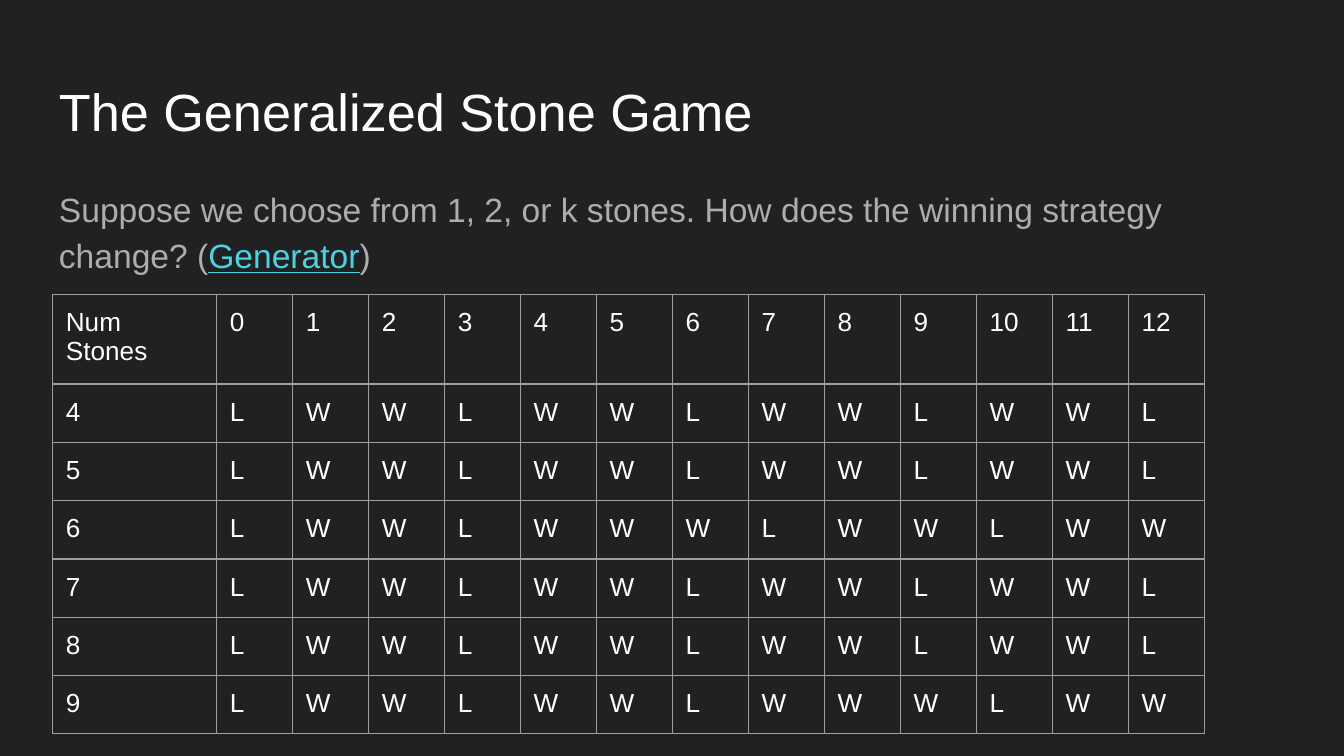
from pptx import Presentation
from pptx.dml.color import RGBColor
from pptx.oxml import parse_xml
from pptx.oxml.ns import nsdecls
from pptx.util import Inches, Pt

BACKGROUND = RGBColor(0x21, 0x21, 0x21)
WHITE = RGBColor(0xFF, 0xFF, 0xFF)
GRAY = RGBColor(0xAD, 0xAD, 0xAD)
CYAN = RGBColor(0x4D, 0xD0, 0xE1)
BORDER = RGBColor(0x9E, 0x9E, 0x9E)

TITLE = [("The Generalized Stone Game", {"color": WHITE, "size": 28})]
QUESTION = [
    ("Suppose we choose from 1, 2, or k stones. "
     "How does the winning strategy change? (", {"color": GRAY, "size": 18}),
    ("Generator", {"color": CYAN, "size": 18, "underline": True}),
    (")", {"color": GRAY, "size": 18}),
]
OUTCOMES = {  # k: win or loss for 0 to 12 stones
    4: "LWWLWWLWWLWWL",
    5: "LWWLWWLWWLWWL",
    6: "LWWLWWWLWWLWW",
    7: "LWWLWWLWWLWWL",
    8: "LWWLWWLWWLWWL",
    9: "LWWLWWLWWWLWW",
}
ROWS = [["Num Stones", *range(13)]] + [[k, *wl] for k, wl in OUTCOMES.items()]

TABLE_LEFT, TABLE_TOP = 0.39, 2.19
COL_WIDTHS = [1.22] + [7.35 / 13] * 13
ROW_HEIGHTS = [0.64] + [0.42] * len(OUTCOMES)
MARGINS = ("margin_left", "margin_top", "margin_right", "margin_bottom")


def set_margins(target):
    for name in MARGINS:
        setattr(target, name, Inches(0.1))


def add_run(p, text, color, size, underline=None):
    r = p.add_run()
    r.text = text
    font_format = {"name": "Arial", "size": Pt(size), "underline": underline}
    for name, value in font_format.items():
        setattr(r.font, name, value)
    r.font.color.rgb = color


def add_text(s, box, runs, line_spacing=1.0):
    tf = s.shapes.add_textbox(*map(Inches, box)).text_frame
    tf.word_wrap = True
    set_margins(tf)
    p = tf.paragraphs[0]
    p.line_spacing = line_spacing
    for text, run_format in runs:
        add_run(p, text, **run_format)


def add_borders(cell):
    tc_pr = cell._tc.get_or_add_tcPr()
    for i, side in enumerate(("lnL", "lnR", "lnT", "lnB")):
        tc_pr.insert(i, parse_xml(
            f'<a:{side} {nsdecls("a")} w="{Pt(0.75)}"><a:solidFill>'
            f'<a:srgbClr val="{BORDER}"/></a:solidFill></a:{side}>'))


def add_outcome_table(s):
    size = (sum(COL_WIDTHS), sum(ROW_HEIGHTS))
    table = s.shapes.add_table(
        len(ROWS), len(COL_WIDTHS),
        *map(Inches, (TABLE_LEFT, TABLE_TOP, *size))).table
    table.first_row = table.horz_banding = False
    for column, width in zip(table.columns, COL_WIDTHS):
        column.width = Inches(width)
    for row, height, values in zip(table.rows, ROW_HEIGHTS, ROWS):
        row.height = Inches(height)
        for cell, value in zip(row.cells, values):
            set_margins(cell)
            cell.fill.background()
            add_borders(cell)
            add_run(cell.text_frame.paragraphs[0], str(value), WHITE, 14)


def main():
    prs = Presentation()
    prs.slide_width = Inches(10)
    prs.slide_height = prs.slide_width * 9 // 16
    s = prs.slides.add_slide(prs.slide_layouts[6])
    s.background.fill.solid()
    s.background.fill.fore_color.rgb = BACKGROUND
    add_text(s, (0.34, 0.49, 9.32, 0.63), TITLE)
    add_text(s, (0.34, 1.26, 9.32, 3.74), QUESTION, line_spacing=1.15)
    add_outcome_table(s)
    prs.save("out.pptx")


if __name__ == "__main__":
    main()
